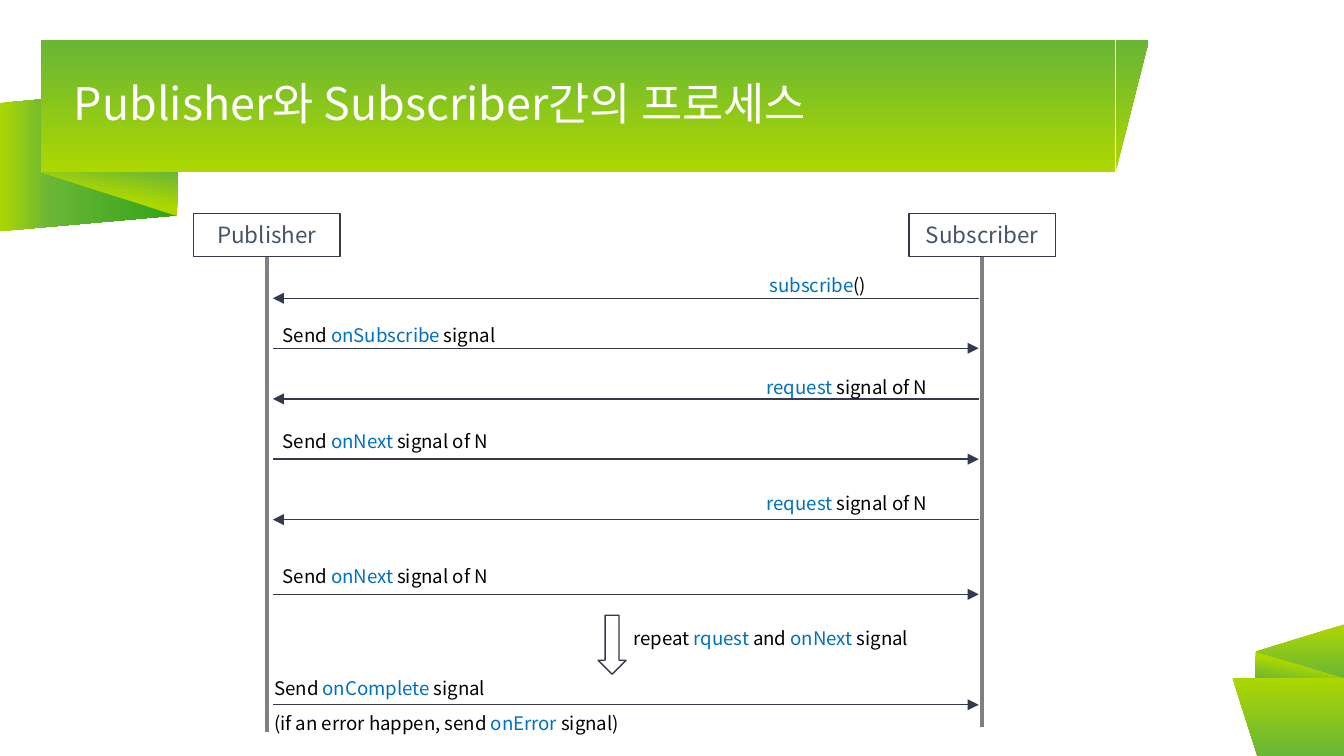
from dataclasses import dataclass

from lxml import etree
from pptx import Presentation
from pptx.dml.color import RGBColor
from pptx.enum.shapes import MSO_CONNECTOR, MSO_SHAPE
from pptx.enum.text import MSO_ANCHOR, PP_ALIGN
from pptx.oxml import parse_xml
from pptx.oxml.ns import nsdecls, qn
from pptx.util import Pt

RECT, TRI = MSO_SHAPE.RECTANGLE, MSO_SHAPE.ISOSCELES_TRIANGLE
RIGHT, SLANT = MSO_SHAPE.RIGHT_TRIANGLE, MSO_SHAPE.PARALLELOGRAM
DOWN, STRAIGHT = MSO_SHAPE.DOWN_ARROW, MSO_CONNECTOR.STRAIGHT
LEFT, CENTER = PP_ALIGN.LEFT, PP_ALIGN.CENTER
TOP, MIDDLE = MSO_ANCHOR.TOP, MSO_ANCHOR.MIDDLE

FONT = "Noto Sans CJK KR"
INK, GRAY, SLATE = "343A4E", "808080", "44546A"
BLACK, BLUE, WHITE = "000000", "0070C0", "FFFFFF"
LIME, GREEN, DEEP = "ACD701", "69B636", "32A318"
PLAIN = ((0, LIME), (100, GREEN))
FOLD = ((0, LIME), (47, LIME), (100, GREEN))
SIDE = ((0, LIME), (29, GREEN), (100, DEEP))


@dataclass
class Box:
    x: float
    y: float
    w: float
    h: float


@dataclass
class Band:
    kind: int
    box: Box
    stops: tuple
    angle: int
    turn: int = 0
    flip: bool = False
    adj: float | None = None


@dataclass
class Actor:
    name: str
    mid: float
    end: float


@dataclass
class Signal:
    """Words between asterisks are blue."""
    text: str
    y: float
    back: bool
    x: float
    top: float
    wide: float
    align: int = LEFT


BANDS = [
    # Title ribbon
    Band(SLANT, Box(8.6, 38.2, 77, 94.3), SIDE, 90, 270, True, 0.109),
    Band(RIGHT, Box(22, 92.2, 73, 23.6), FOLD, 100, 180),
    Band(RECT, Box(22, 21.6, 575.6, 70.6), PLAIN, 90, 180, True),
    Band(TRI, Box(597.6, 21.6, 17.8, 70.6), PLAIN, 90, 180, False, 1),
    # Corner ribbon
    Band(TRI, Box(681.8, 325.4, 29.5, 47.5), PLAIN, 180, 270, False, 0.5),
    Band(RIGHT, Box(672.5, 349.2, 47.5, 14.4), FOLD, 100),
    Band(RECT, Box(673.2, 363, 46.8, 42), PLAIN, 270, 180),
    Band(TRI, Box(660.2, 363, 13.5, 42), PLAIN, 270, 180, True, 1),
]
ACTORS = [Actor("Publisher", 143, 392.4), Actor("Subscriber", 526.2, 389.5)]
NEXT, ASK = "Send *onNext* signal of N", "*request* signal of N"
SIGNALS = [
    Signal("*subscribe*()", 159.8, True, 404, 143.4, 68.4, CENTER),
    Signal("Send *onSubscribe* signal", 186.6, False, 144.4, 169.9, 138),
    Signal(ASK, 213.7, True, 403.6, 197.8, 110),
    Signal(NEXT, 246, False, 144.4, 226.6, 138),
    Signal(ASK, 278.4, True, 403.6, 260, 110),
    Signal(NEXT, 318.4, False, 144.4, 299, 138),
    Signal("Send *onComplete* signal", 377.6, False, 139.9, 359.3, 227),
]


def tint(code: str) -> RGBColor:
    return RGBColor.from_string(code)


def place(box: Box) -> list:
    return [Pt(box.x), Pt(box.y), Pt(box.w), Pt(box.h)]


def shade(shape, stops: tuple, angle: int) -> None:
    gs = "".join(f'<a:gs pos="{pos * 1000}"><a:srgbClr val="{code}"/></a:gs>'
                 for pos, code in stops)
    fill = parse_xml(f'<a:gradFill {nsdecls("a")} rotWithShape="1"><a:gsLst>{gs}'
                     f'</a:gsLst><a:lin ang="{angle * 60000}" scaled="0"/></a:gradFill>')
    shape._element.spPr.find(qn("a:prstGeom")).addnext(fill)


def draw_band(slide, band: Band) -> None:
    shape = slide.shapes.add_shape(band.kind, *place(band.box))
    shape.shadow.inherit = False
    shape.line.fill.background()
    shape.rotation = band.turn
    if band.flip:
        shape._element.spPr.find(qn("a:xfrm")).set("flipH", "1")
    if band.adj is not None:
        shape.adjustments[0] = band.adj
    shade(shape, band.stops, band.angle)


def draw_line(slide, x1: float, y1: float, x2: float, y2: float,
              code: str, wide: float, arrow: bool = False) -> None:
    line = slide.shapes.add_connector(STRAIGHT, Pt(x1), Pt(y1), Pt(x2), Pt(y2))
    line.line.color.rgb = tint(code)
    line.line.width = Pt(wide)
    if arrow:
        etree.SubElement(line.line._get_or_add_ln(), qn("a:tailEnd"), type="triangle")
    etree.SubElement(line._element.spPr, qn("a:effectLst"))


def write(shape, text: str, size: float, code: str, align: int, anchor: int) -> None:
    frame = shape.text_frame
    frame.word_wrap = True
    frame.vertical_anchor = anchor
    para = frame.paragraphs[0]
    para.alignment = align
    for i, part in enumerate(text.split("*")):
        if part:
            run = para.add_run()
            run.text = part
            run.font.size = Pt(size)
            run.font.color.rgb = tint(BLUE if i % 2 else code)
            run.font.name = FONT
            etree.SubElement(run.font._element, qn("a:ea"), typeface=FONT)


def draw_label(slide, text: str, x: float, y: float, wide: float, align: int) -> None:
    label = slide.shapes.add_textbox(*place(Box(x, y, wide, 19.4)))
    write(label, text, 10, BLACK, align, TOP)


def draw_frame(slide, kind: int, box: Box):
    shape = slide.shapes.add_shape(kind, *place(box))
    shape.shadow.inherit = False
    shape.fill.background()
    shape.line.color.rgb = tint(INK)
    shape.line.width = Pt(0.75)
    return shape


def draw_title(slide, text: str) -> None:
    title = slide.shapes.add_textbox(*place(Box(39.6, 21.6, 568.8, 70.6)))
    write(title, text, 24, WHITE, LEFT, MIDDLE)
    frame = title.text_frame
    frame.margin_left = frame.margin_right = frame.margin_top = frame.margin_bottom = 0
    para = frame.paragraphs[0]
    para.line_spacing = 0.9
    glow = parse_xml(f'<a:effectLst {nsdecls("a")}><a:outerShdw blurRad="38100" dist="19050" '
                     'dir="2700000"><a:srgbClr val="000000"><a:alpha val="40000"/>'
                     '</a:srgbClr></a:outerShdw></a:effectLst>')
    para.runs[0].font._element.find(qn("a:solidFill")).addnext(glow)


def draw_actor(slide, actor: Actor) -> None:
    box = draw_frame(slide, RECT, Box(actor.mid - 39.2, 114.3, 78.4, 23.2))
    write(box, actor.name, 12, SLATE, CENTER, MIDDLE)
    draw_line(slide, actor.mid, 137.5, actor.mid, actor.end, GRAY, 2.25)


def draw_signal(slide, sig: Signal) -> None:
    start, end = (524.3, 146.2) if sig.back else (146.2, 524.3)
    draw_line(slide, start, sig.y, end, sig.y, INK, 0.75, True)
    draw_label(slide, sig.text, sig.x, sig.top, sig.wide, sig.align)


def main() -> None:
    deck = Presentation()
    deck.slide_width, deck.slide_height = Pt(720), Pt(405)
    slide = deck.slides.add_slide(deck.slide_layouts[6])
    # Ribbons and title
    for band in BANDS:
        draw_band(slide, band)
    draw_title(slide, "Publisher와 Subscriber간의 프로세스")
    # Sequence diagram
    for actor in ACTORS:
        draw_actor(slide, actor)
    for sig in SIGNALS:
        draw_signal(slide, sig)
    # Repeat mark and error note
    draw_frame(slide, DOWN, Box(320.4, 329.6, 15, 31.6))
    draw_label(slide, "repeat *rquest* and *onNext* signal", 323.3, 332.3, 179.3, CENTER)
    draw_label(slide, "(if an error happen, send *onError* signal)", 139.9, 377.9, 227, LEFT)
    deck.save("out.pptx")


if __name__ == "__main__":
    main()
